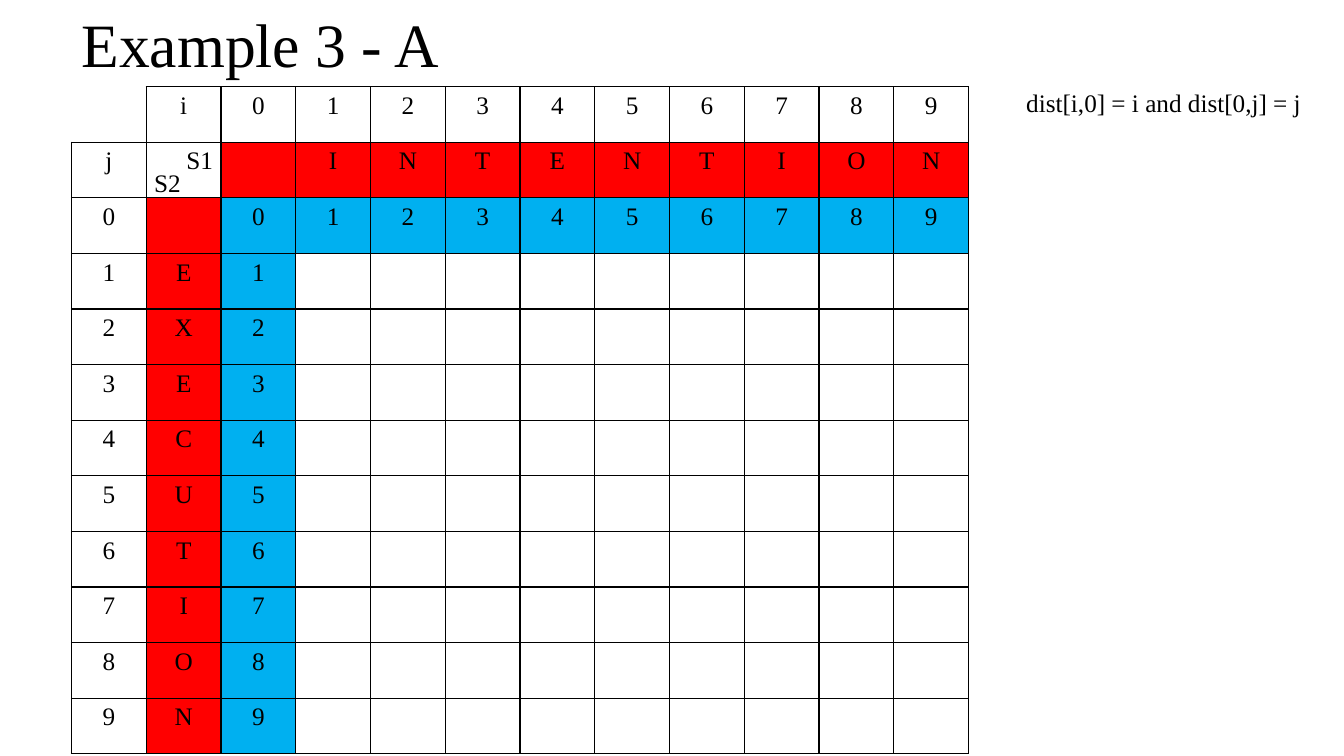
from dataclasses import dataclass

from lxml import etree
from pptx import Presentation
from pptx.dml.color import RGBColor
from pptx.enum.text import MSO_ANCHOR, PP_ALIGN
from pptx.oxml.ns import qn
from pptx.util import Inches, Pt

BLACK = RGBColor(0x00, 0x00, 0x00)
WHITE = RGBColor(0xFF, 0xFF, 0xFF)
RED = RGBColor(0xFF, 0x00, 0x00)
BLUE = RGBColor(0x00, 0xB0, 0xF0)
FONT = "Times New Roman"
CENTER = PP_ALIGN.CENTER
TOP, MIDDLE = MSO_ANCHOR.TOP, MSO_ANCHOR.MIDDLE

SOURCE_WORD = "INTENTION"
TARGET_WORD = "EXECUTION"
GRID_SIZE = len(SOURCE_WORD) + 3
GRID_LEFT, GRID_TOP = 0.71, 0.86
GRID_WIDTH, GRID_HEIGHT = 8.9, 6.62
BORDER_SIDES = ("lnL", "lnR", "lnT", "lnB")


@dataclass(frozen=True)
class Label:
    text: str
    left: float
    top: float
    width: float
    height: float
    size: float = 18
    anchor: MSO_ANCHOR = TOP
    line_spacing: float = 1.0


TITLE = Label("Example 3 - A", 0.71, 0.03, 10.32, 0.89, 44, MIDDLE, 0.9)
BASE_CASE = Label("dist[i,0] = i and dist[0,j] = j", 10.08, 0.82, 3.26, 0.4)
AXIS_LABELS = (
    Label("S1", 1.75, 1.38, 0.63, 0.4),
    Label("S2", 1.43, 1.61, 0.63, 0.4),
)


def style_paragraph(para, size: float) -> None:
    for span in para.runs:
        span.font.name = FONT
        span.font.size = Pt(size)
        span.font.color.rgb = BLACK


def add_label(page, label: Label) -> None:
    box = page.shapes.add_textbox(Inches(label.left), Inches(label.top),
                                  Inches(label.width), Inches(label.height))
    frame = box.text_frame
    frame.word_wrap = True
    frame.vertical_anchor = label.anchor
    frame.text = label.text
    para = frame.paragraphs[0]
    para.line_spacing = label.line_spacing
    style_paragraph(para, label.size)


def distance_rows() -> list[list[str]]:
    """Return the starting matrix: indexes, both words and the base distances."""
    indexes = [str(index) for index in range(len(SOURCE_WORD) + 1)]
    rows = [["", "i", *indexes], ["j", "", "", *SOURCE_WORD], ["0", "", *indexes]]
    for index, letter in enumerate(TARGET_WORD, start=1):
        rows.append([str(index), letter, str(index)] + [""] * len(SOURCE_WORD))
    return rows


def cell_color(row: int, column: int) -> RGBColor:
    """Words are red, base distances blue, everything else white."""
    nearest = min(row, column)
    if nearest == 1 and row != column:
        return RED
    if nearest == 2:
        return BLUE
    return WHITE


def set_borders(cell, hidden_sides: tuple[str, ...]) -> None:
    properties = cell._tc.get_or_add_tcPr()
    for side in BORDER_SIDES:
        line = etree.SubElement(properties, qn(f"a:{side}"), w=str(Pt(1)))
        if side in hidden_sides:
            etree.SubElement(line, qn("a:noFill"))
        else:
            fill = etree.SubElement(line, qn("a:solidFill"))
            etree.SubElement(fill, qn("a:srgbClr"), val=str(BLACK))


def add_distance_table(page) -> None:
    table = page.shapes.add_table(
        GRID_SIZE, GRID_SIZE, Inches(GRID_LEFT), Inches(GRID_TOP),
        Inches(GRID_WIDTH), Inches(GRID_HEIGHT)).table
    table.first_row = False
    table.horz_banding = False
    for column in table.columns:
        column.width = Inches(GRID_WIDTH / GRID_SIZE)
    for row in table.rows:
        row.height = Inches(GRID_HEIGHT / GRID_SIZE)
    for row_index, values in enumerate(distance_rows()):
        for column_index, value in enumerate(values):
            cell = table.cell(row_index, column_index)
            is_corner = row_index == column_index == 0
            set_borders(cell, ("lnL", "lnT") if is_corner else ())
            cell.fill.solid()
            cell.fill.fore_color.rgb = cell_color(row_index, column_index)
            if value:
                cell.text_frame.text = value
                para = cell.text_frame.paragraphs[0]
                para.alignment = CENTER
                style_paragraph(para, 18)


def main() -> None:
    deck = Presentation()
    deck.slide_width, deck.slide_height = Inches(13.33), Inches(7.5)
    page = deck.slides.add_slide(deck.slide_layouts[6])
    add_label(page, TITLE)
    add_label(page, BASE_CASE)
    add_distance_table(page)
    for label in AXIS_LABELS:
        add_label(page, label)
    deck.save("out.pptx")


if __name__ == "__main__":
    main()
